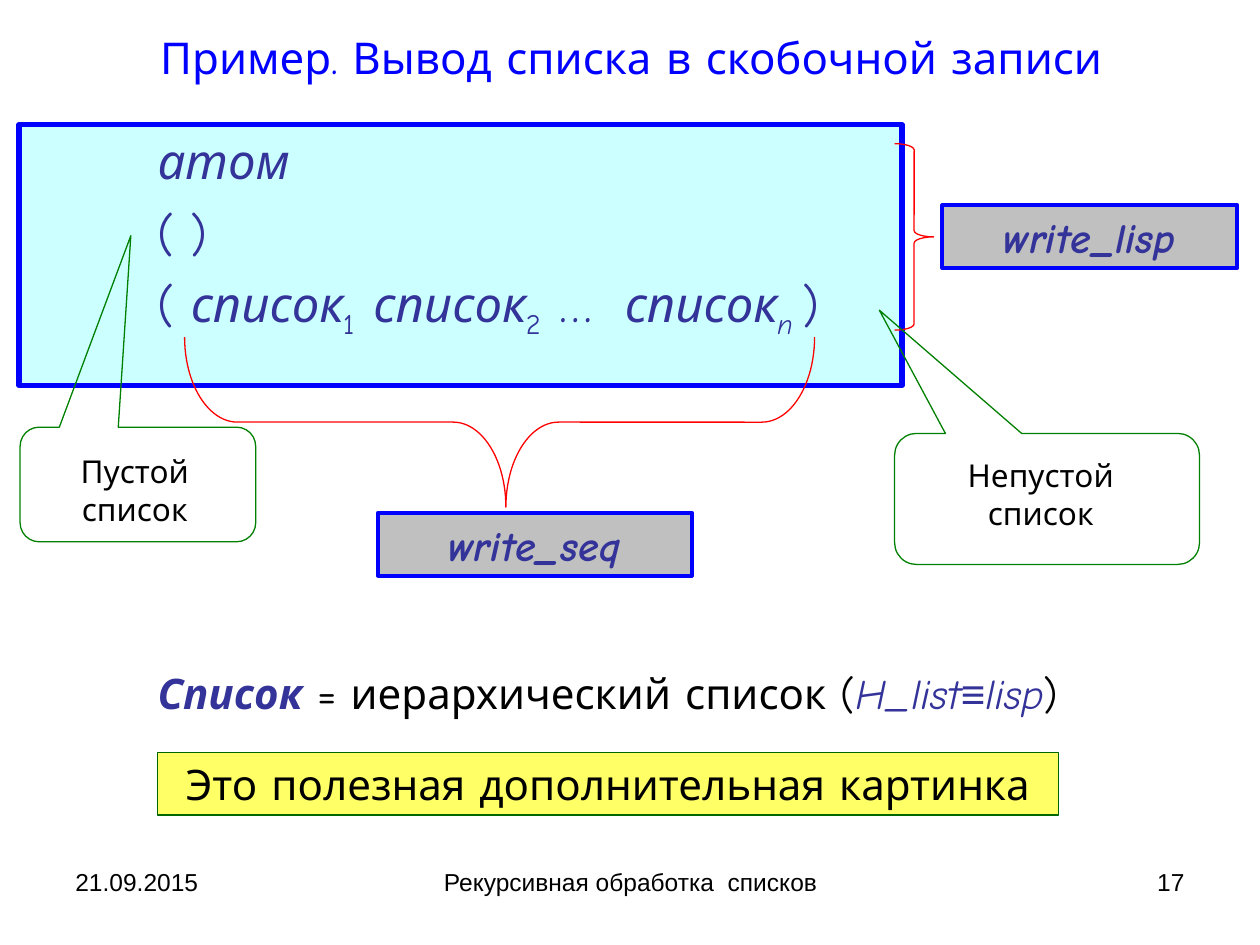
from lxml import etree
from pptx import Presentation
from pptx import util as u
from pptx.dml.color import RGBColor
from pptx.enum import shapes, text

COLORS = {
    "blue": "0000FF", "indigo": "333399", "cyan": "CCFFFF", "grey": "C0C0C0",
    "yellow": "FFFF66", "red": "FF0000", "green": "008000",
    "dark_green": "006600", "black": "000000",
}
COMIC, ARIAL = "Comic Neue", "Arial"
MID, TOP = text.MSO_ANCHOR.MIDDLE, text.MSO_ANCHOR.TOP
LEFT, CENTER, RIGHT = text.PP_ALIGN.LEFT, text.PP_ALIGN.CENTER, text.PP_ALIGN.RIGHT
KIND = shapes.MSO_SHAPE

TITLE = "Пример. Вывод списка в скобочной записи"
FORMS = [
    [("атом", "i")],
    [("( )", "")],
    [("( ", ""), ("список", "i"), ("1  ", "s"), ("список", "i"), ("2  ", "s"),
     ("…  ", ""), ("список", "i"), ("n ", "is"), (")", "")],
]
DEFINITION = [
    ("Список", "bi", "indigo", COMIC),
    (" = иерархический список (", "", "black", COMIC),
    ("H_list", "i", "indigo", COMIC),
    ("≡", "i", "indigo", ARIAL),
    ("lisp", "i", "indigo", COMIC),
    (")", "", "black", COMIC),
]
FUNCTIONS = [
    ("write_seq", (3, 4.07, 2.49, 0.5)),
    ("write_lisp", (7.48, 1.63, 2.34, 0.5)),
]
BRACES = [
    ((3.29, 0.85, 1.35, 5), 90, (0.31, 0.49)),
    ((7.1, 1.14, 0.31, 1.48), 0, (0.16, 0.5)),
]
CALLOUTS = [
    ("Пустой список", (0.16, 3.39, 1.87, 0.91), (-0.03, -2.17), (0.25, 3.54, 1.64, 0.7)),
    ("Непустой список", (7.1, 3.44, 2.42, 1.04), (-0.55, -1.44), (7.44, 3.57, 1.64, 0.7)),
]
NOTE = "Это полезная дополнительная картинка"
FOOTER = [
    ("21.09.2015", 0.5, 2.33, LEFT),
    ("Рекурсивная обработка  списков", 3.42, 3.17, CENTER),
    ("17", 7.17, 2.33, RIGHT),
]


def rgb(name):
    return RGBColor.from_string(COLORS[name])


def inches(box):
    return [u.Inches(v) for v in box]


def add_shape(s, kind, box, line, width, fill=None):
    sp = s.shapes.add_shape(kind, *inches(box))
    sp.shadow.inherit = False
    sp.line.color.rgb = rgb(line)
    sp.line.width = u.Pt(width)
    if fill:
        sp.fill.solid()
        sp.fill.fore_color.rgb = rgb(fill)
    else:
        sp.fill.background()
    return sp


def add_run(p, words, size, style="", color="black", font=COMIC):
    r = p.add_run()
    r.text = words
    r.font.size = u.Pt(size)
    r.font.name = font
    r.font.color.rgb = rgb(color)
    r.font.bold = "b" in style
    r.font.italic = "i" in style
    if "s" in style:
        r.font._element.set("baseline", "-25000")


def write(sp, runs, align=CENTER, anchor=TOP):
    tf = sp.text_frame
    tf.word_wrap = True
    tf.auto_size = text.MSO_AUTO_SIZE.NONE
    tf.vertical_anchor = anchor
    p = tf.paragraphs[0]
    p.alignment = align
    for run in runs:
        add_run(p, *run)


def add_text(s, box, runs, align=CENTER):
    write(s.shapes.add_textbox(*inches(box)), runs, align)


def main():
    prs = Presentation()
    prs.slide_width, prs.slide_height = u.Inches(10), u.Inches(7.5)
    s = prs.slides.add_slide(prs.slide_layouts[5])

    title = s.shapes.title
    title.left, title.top, title.width, title.height = inches((0.24, 0.18, 9.54, 0.54))
    write(title, [(TITLE, 25, "", "blue")], anchor=MID)

    panel = add_shape(s, KIND.RECTANGLE, (0.15, 0.99, 7.01, 2.07), "blue", 3, "cyan")
    tf = panel.text_frame
    tf.word_wrap = True
    tf.vertical_anchor = TOP
    tf.margin_left = u.Inches(1.1)
    for i, form in enumerate(FORMS):
        p = tf.add_paragraph() if i else tf.paragraphs[0]
        p.alignment = LEFT
        p.space_before = u.Pt(7 if i else 0)
        for words, style in form:
            add_run(p, words, 28, style, "indigo")

    for box, angle, adjustments in BRACES:
        brace = add_shape(s, KIND.RIGHT_BRACE, box, "red", 0.75)
        brace.rotation = angle
        for i, value in enumerate(adjustments):
            brace.adjustments[i] = value

    for name, box in FUNCTIONS:
        sp = add_shape(s, KIND.RECTANGLE, box, "blue", 2.25, "grey")
        write(sp, [(name, 24, "bi", "indigo")], anchor=MID)

    for words, box, tip, words_box in CALLOUTS:
        callout = add_shape(s, KIND.ROUNDED_RECTANGULAR_CALLOUT, box, "green", 0.75)
        callout.adjustments[0], callout.adjustments[1] = tip
        add_text(s, words_box, [(words, 18)])

    add_text(s, (0.48, 5.25, 8.69, 0.5),
             [(words, 24, style, color, font) for words, style, color, font in DEFINITION])

    note = add_shape(s, KIND.RECTANGLE, (1.25, 5.97, 7.15, 0.5), "dark_green", 0.75, "yellow")
    write(note, [(NOTE, 24)], anchor=MID)

    for words, left, width, align in FOOTER:
        add_text(s, (left, 6.83, width, 0.52), [(words, 14, "", "black", ARIAL)], align)

    prs.save("out.pptx")


if __name__ == "__main__":
    main()
